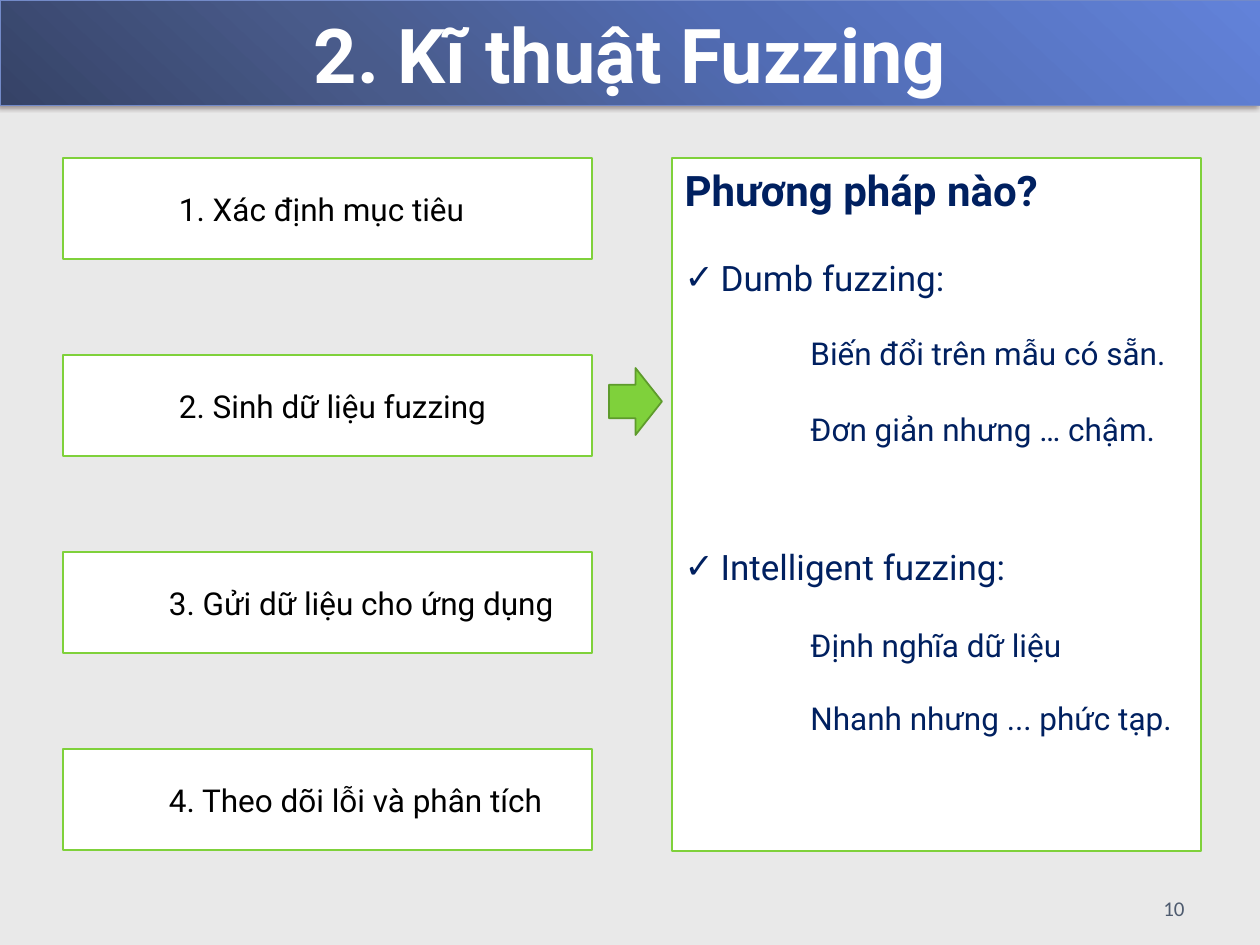
from dataclasses import dataclass

from lxml.etree import SubElement
from pptx import Presentation
from pptx.dml.color import RGBColor
from pptx.enum.shapes import MSO_SHAPE as Preset
from pptx.enum.text import MSO_ANCHOR as Anchor, MSO_AUTO_SIZE as AutoSize, PP_ALIGN as Align
from pptx.oxml.ns import qn
from pptx.util import Emu, Pt

EMU_PER_PX = 914400 / 126
WHITE, BLACK, NAVY = "FFFFFF", "000000", "002060"
GREEN, DARK_GREEN = "7FD13B", "5E9B2C"
BAND_STOPS = [(0, "6282D9"), (40, "516CB4"), (70, "495B8B"), (100, "364367")]


@dataclass(frozen=True)
class Box:
    left: int
    top: int
    width: int
    height: int

    def emu(self) -> tuple:
        return tuple(px(n) for n in (self.left, self.top, self.width, self.height))


@dataclass(frozen=True)
class Step:
    label: str
    indent: int


@dataclass(frozen=True)
class Detail:
    label: str
    top: int


@dataclass(frozen=True)
class Method:
    label: str
    gap: float  # points before the line


STEPS = [
    Step("1. Xác định mục tiêu", 116),
    Step("2. Sinh dữ liệu fuzzing", 116),
    Step("3. Gửi dữ liệu cho ứng dụng", 106),
    Step("4. Theo dõi lỗi và phân tích", 106),
]
METHODS = [Method("Dumb fuzzing:", 24), Method("Intelligent fuzzing:", 141)]
DETAILS = [
    Detail("Biến đổi trên mẫu có sẵn.", 328),
    Detail("Đơn giản nhưng … chậm.", 404),
    Detail("Định nghĩa dữ liệu", 620),
    Detail("Nhanh nhưng ... phức tạp.", 693),
]


def px(length: int) -> Emu:
    return Emu(round(length * EMU_PER_PX))


def rgb(color: str) -> RGBColor:
    return RGBColor.from_string(color)


def place(shape, box: Box) -> None:
    shape.left, shape.top, shape.width, shape.height = box.emu()


def paint(shape, fill: str, line: str) -> None:
    shape.fill.solid()
    shape.fill.fore_color.rgb = rgb(fill)
    shape.line.color.rgb = rgb(line)
    shape.line.width = Pt(1)


def set_frame(shape, anchor: Anchor):
    frame = shape.text_frame
    frame.word_wrap = True
    frame.auto_size = AutoSize.NONE
    frame.vertical_anchor = anchor
    return frame


def write(paragraph, text: str, size: float, color: str, bold: bool = False,
          font: str = "Roboto", align: Align = Align.LEFT, before: float = 0) -> None:
    paragraph.alignment = align
    paragraph.space_before = Pt(before)
    run = paragraph.add_run()
    run.text = text
    run.font.name = font
    run.font.size = Pt(size)
    run.font.bold = bold
    run.font.color.rgb = rgb(color)


def set_bullet(paragraph, mark: str, indent: int) -> None:
    props = paragraph._p.get_or_add_pPr()
    props.set("marL", str(px(indent)))
    props.set("indent", str(-px(indent)))
    if mark:
        SubElement(props, qn("a:buFont"), typeface="Roboto")
        SubElement(props, qn("a:buChar"), char=mark)
    else:
        SubElement(props, qn("a:buNone"))


def add_text(slide, box: Box, text: str, size: float, color: str,
             anchor: Anchor = Anchor.TOP, **style) -> None:
    frame = set_frame(slide.shapes.add_textbox(*box.emu()), anchor)
    write(frame.paragraphs[0], text, size, color, **style)


def add_preset(slide, preset: Preset, box: Box, fill: str, line: str):
    shape = slide.shapes.add_shape(preset, *box.emu())
    shape.shadow.inherit = False
    paint(shape, fill, line)
    return shape


def fill_title(title) -> None:
    place(title, Box(0, 0, 1260, 105))
    title.fill.gradient()
    title.fill.gradient_angle = 360 - 133
    props = title._element.spPr
    stops = props.find(".//" + qn("a:gsLst"))
    stops.clear()
    for position, color in BAND_STOPS:
        stop = SubElement(stops, qn("a:gs"), pos=str(position * 1000))
        SubElement(stop, qn("a:srgbClr"), val=color)
    title.line.color.rgb = rgb("738AC8")
    title.line.width = Pt(0.39)

    # Soft shadow under the band
    effects = SubElement(props, qn("a:effectLst"))
    shadow = SubElement(effects, qn("a:outerShdw"), blurRad=str(Pt(3.1)),
                        dist=str(Pt(2)), dir=str(150 * 60000), rotWithShape="0")
    tint = SubElement(shadow, qn("a:srgbClr"), val="1A0000")
    SubElement(tint, qn("a:alpha"), val="40000")

    frame = set_frame(title, Anchor.BOTTOM)
    write(frame.paragraphs[0], "2. Kĩ thuật Fuzzing", 43.2, WHITE, bold=True, align=Align.CENTER)


def fill_panel(panel) -> None:
    place(panel, Box(672, 158, 529, 693))
    paint(panel, WHITE, GREEN)
    frame = set_frame(panel, Anchor.TOP)
    heading = frame.paragraphs[0]
    set_bullet(heading, "", 0)
    write(heading, "Phương pháp nào?", 24, NAVY, bold=True)
    for method in METHODS:
        paragraph = frame.add_paragraph()
        set_bullet(paragraph, "✓", 36)
        write(paragraph, method.label, 20, NAVY, before=method.gap)


def add_step(slide, row: int, step: Step) -> None:
    box = Box(63, 158 + 197 * row, 529, 101)
    shape = add_preset(slide, Preset.RECTANGLE, box, WHITE, GREEN)
    frame = set_frame(shape, Anchor.MIDDLE)
    frame.margin_left = px(step.indent)
    write(frame.paragraphs[0], step.label, 18, BLACK)


def main() -> None:
    deck = Presentation()
    deck.slide_width, deck.slide_height = px(1260), px(945)
    slide = deck.slides.add_slide(deck.slide_layouts[1])
    slide.background.fill.solid()
    slide.background.fill.fore_color.rgb = rgb("E9E9E9")

    # Title band and methods panel
    fill_title(slide.shapes.title)
    fill_panel(slide.placeholders[1])

    # Arrow from the second step, then the notes on each method
    add_preset(slide, Preset.RIGHT_ARROW, Box(609, 368, 53, 67), GREEN, DARK_GREEN)
    for detail in DETAILS:
        add_text(slide, Box(798, detail.top, 400, 52), detail.label, 18, NAVY)

    # Four steps down the left side
    for row, step in enumerate(STEPS):
        add_step(slide, row, step)

    # Slide number
    add_text(slide, Box(903, 861, 294, 66), "10", 12, "4E5B6F", anchor=Anchor.BOTTOM,
             font="Calibri", align=Align.RIGHT)
    deck.save("out.pptx")


if __name__ == "__main__":
    main()
